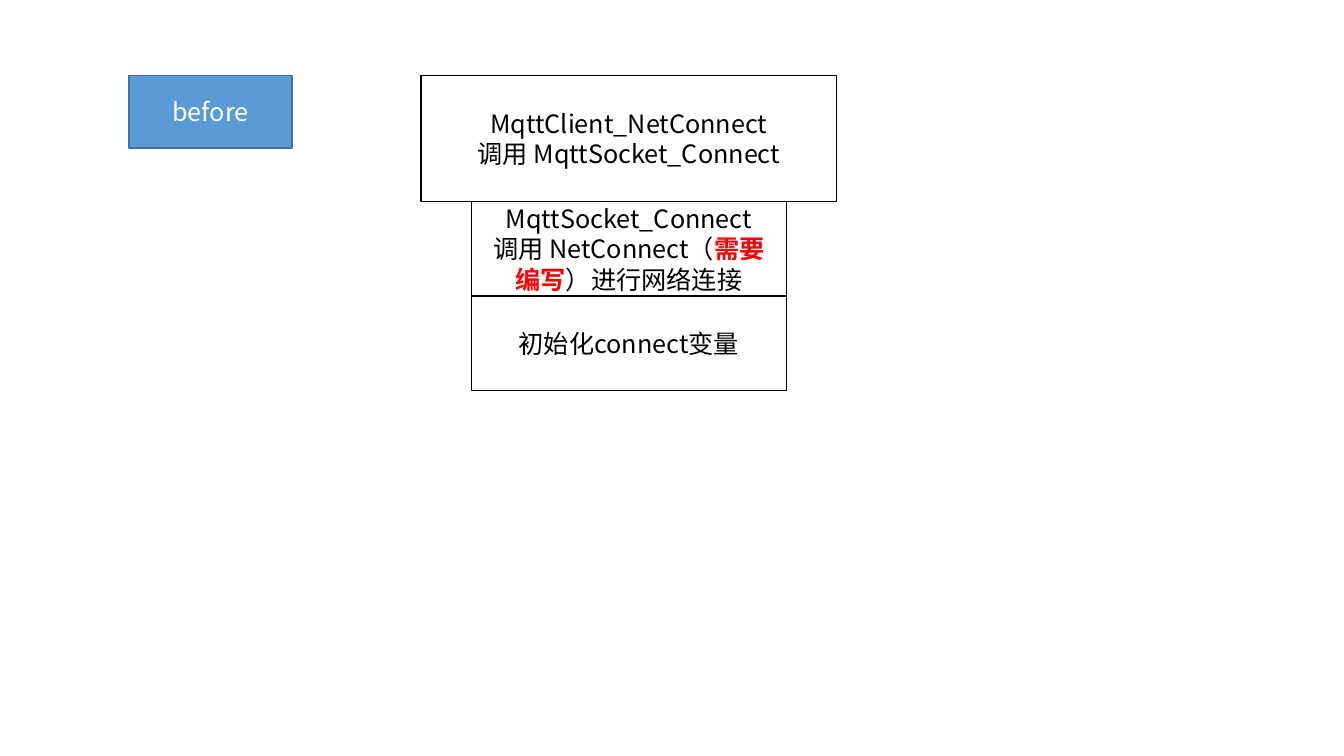
from dataclasses import dataclass

from lxml.etree import SubElement
from pptx import Presentation
from pptx.dml.color import RGBColor
from pptx.enum.shapes import MSO_SHAPE
from pptx.enum.text import MSO_ANCHOR, PP_ALIGN
from pptx.oxml.ns import qn
from pptx.util import Emu, Pt

EMU_PER_PX = 9525


@dataclass(frozen=True)
class Theme:
    font: str = "Noto Sans CJK SC"
    text_size: int = 18
    line_width: int = 1
    white: str = "FFFFFF"
    black: str = "000000"
    red: str = "FF0000"
    blue: str = "5B9BD5"
    dark_blue: str = "43739E"


def px(length):
    return Emu(length * EMU_PER_PX)


class SlideBuilder:
    def __init__(self, slide, theme):
        self.slide = slide
        self.theme = theme

    def box(self, left, top, width, height, lines, fill, outline, text_color):
        """Draw a rectangle; each line is a list of texts, every second one emphasised."""
        shape = self.slide.shapes.add_shape(
            MSO_SHAPE.RECTANGLE, px(left), px(top), px(width), px(height))
        shape.shadow.inherit = False
        shape.fill.solid()
        shape.fill.fore_color.rgb = RGBColor.from_string(fill)
        shape.line.color.rgb = RGBColor.from_string(outline)
        shape.line.width = Pt(self.theme.line_width)

        text_frame = shape.text_frame
        text_frame.word_wrap = True
        text_frame.vertical_anchor = MSO_ANCHOR.MIDDLE
        text_frame.text = "\n".join("" for _ in lines)
        for paragraph, texts in zip(text_frame.paragraphs, lines):
            paragraph.alignment = PP_ALIGN.CENTER
            for index, text in enumerate(texts):
                run = paragraph.add_run()
                run.text = text
                emphasised = index % 2 == 1
                self.format_run(run, self.theme.red if emphasised else text_color, emphasised)

    def format_run(self, run, color, bold):
        run.font.size = Pt(self.theme.text_size)
        run.font.bold = bold
        run.font.color.rgb = RGBColor.from_string(color)
        run.font.name = self.theme.font
        # East Asian characters need their own typeface entry
        SubElement(run.font._element, qn("a:ea"), typeface=self.theme.font)

    def step(self, left, top, width, height, lines):
        theme = self.theme
        self.box(left, top, width, height, lines, theme.white, theme.black, theme.black)

    def label(self, left, top, width, height, text):
        theme = self.theme
        self.box(left, top, width, height, [[text]], theme.blue, theme.dark_blue, theme.white)


def main():
    presentation = Presentation()
    presentation.slide_width, presentation.slide_height = px(1280), px(720)
    slide = presentation.slides.add_slide(presentation.slide_layouts[6])
    builder = SlideBuilder(slide, Theme())

    # Calling function
    top, caller_height = 72, 120
    builder.step(401, top, 396, caller_height,
                 [["MqttClient_NetConnect"], ["调用 MqttSocket_Connect"]])

    # Steps stacked below it
    step_height = 90
    steps = [
        [["MqttSocket_Connect"], ["调用 NetConnect（", "需要编写", "）进行网络连接"]],
        [["初始化connect变量"]],
    ]
    for index, lines in enumerate(steps):
        step_top = top + caller_height + index * step_height
        builder.step(449, step_top, 300, step_height, lines)

    # Stage label
    builder.label(123, top, 155, 69, "before")

    presentation.save("out.pptx")


if __name__ == "__main__":
    main()
